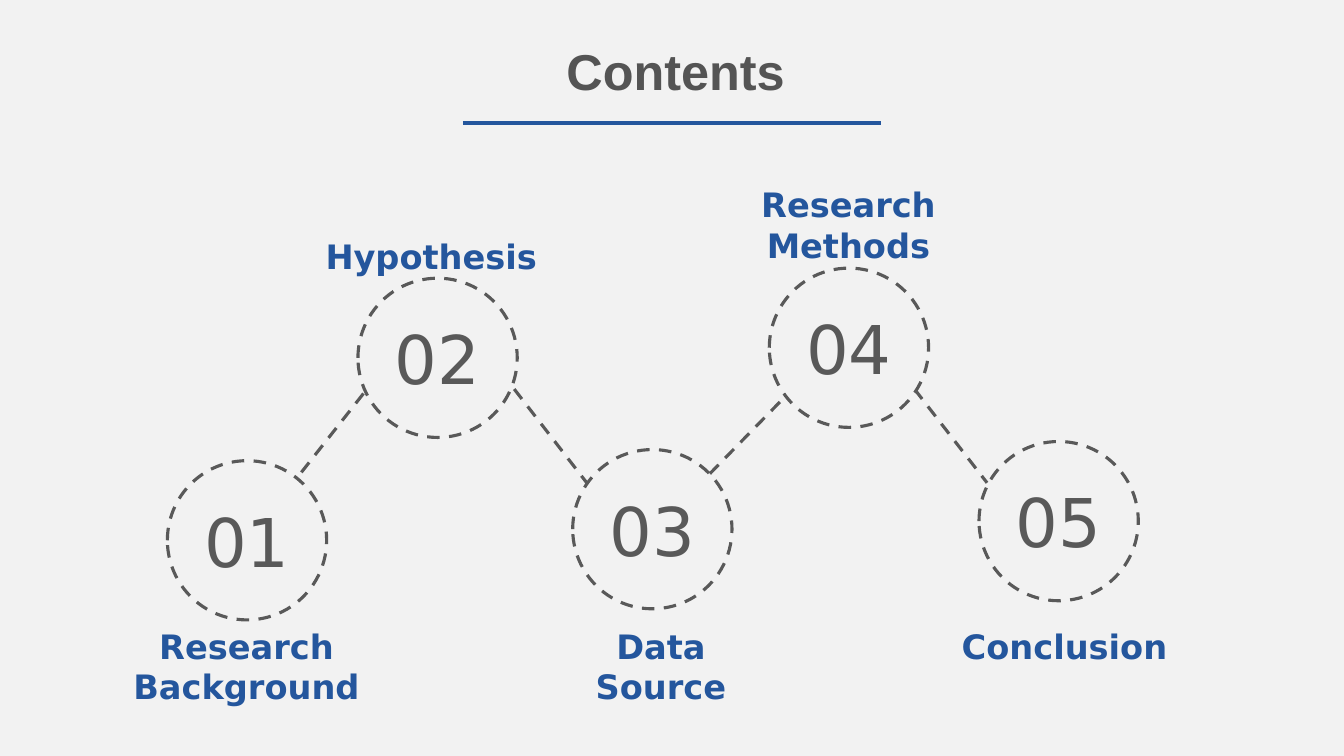
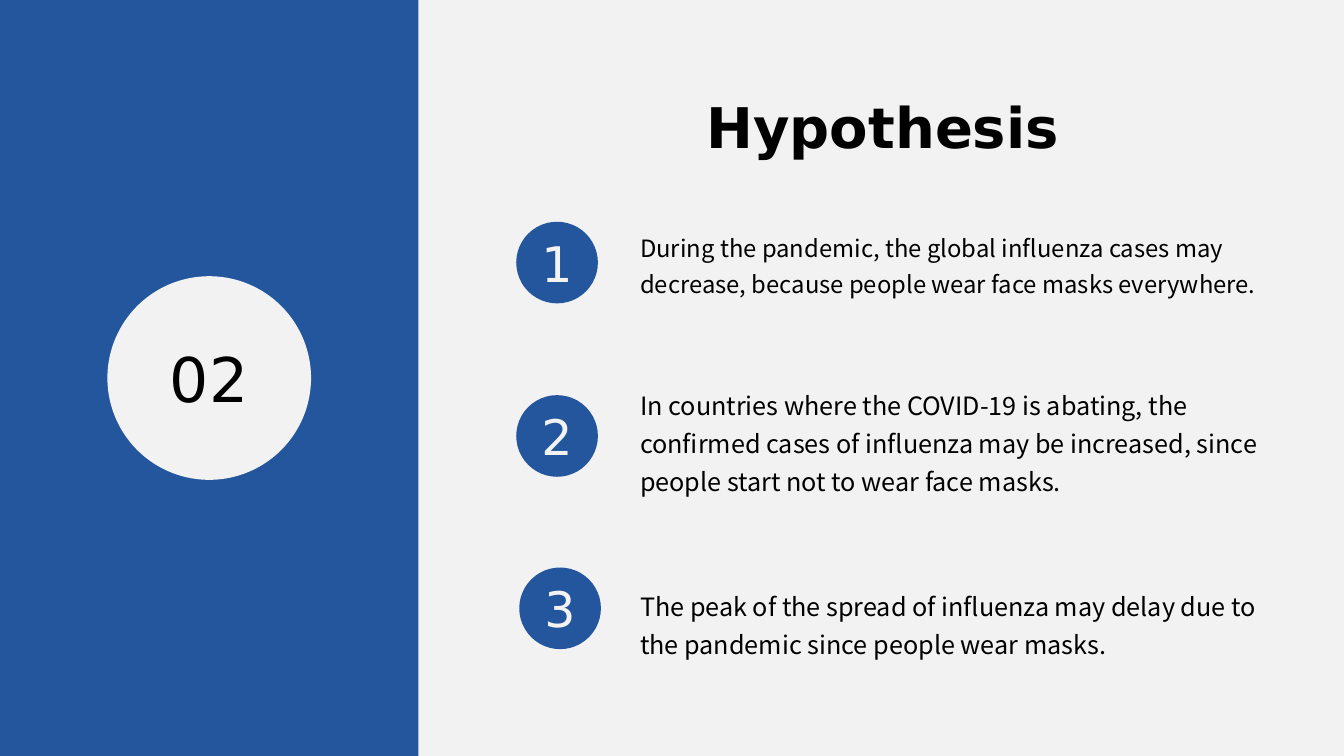
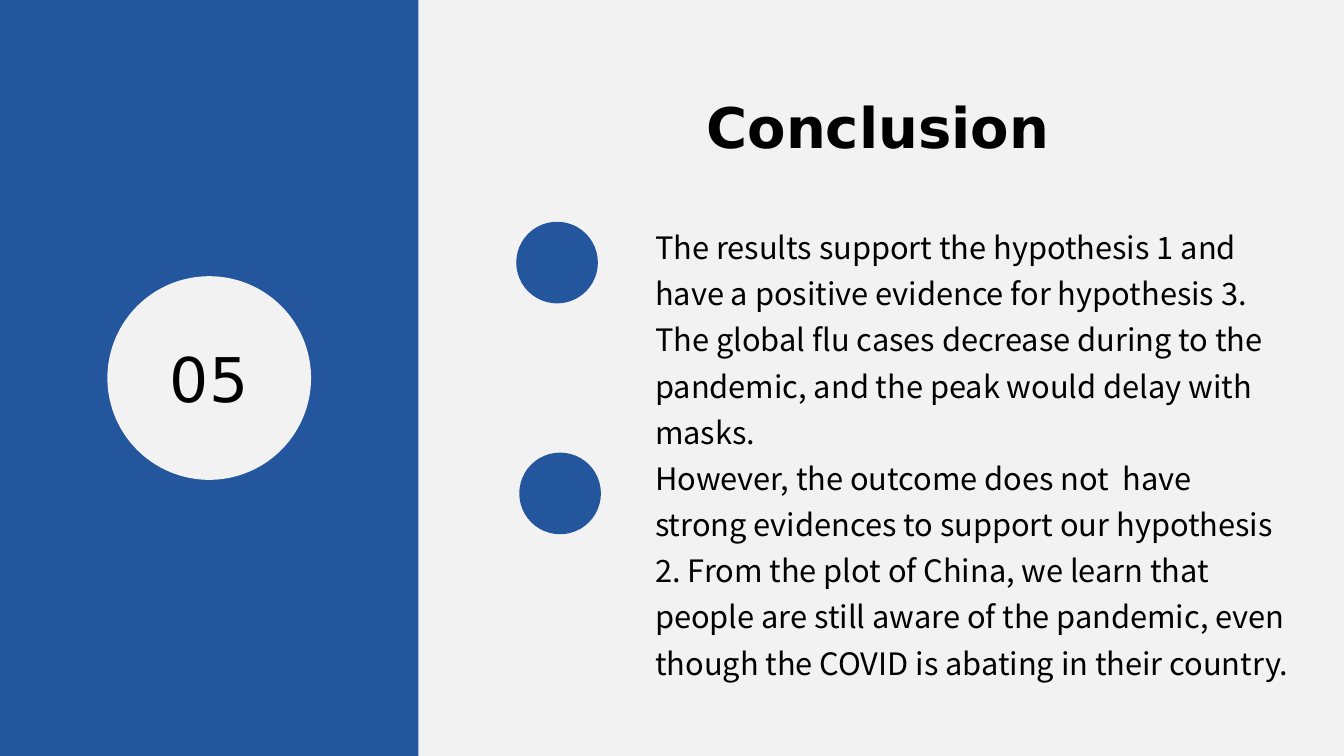
from pptx import Presentation
from pptx.dml.color import RGBColor
from pptx.enum.dml import MSO_LINE
from pptx.enum.shapes import MSO_CONNECTOR, MSO_SHAPE
from pptx.enum.text import MSO_ANCHOR, PP_ALIGN
from pptx.oxml.ns import qn
from pptx.util import Inches, Pt

BLUE, PALE, GREY, BLACK = "24569D", "F2F2F2", "595959", "000000"
TITLE_GREY, BADGE_TEXT = "545454", "F3F3F3"
HEAD_FONT, BODY_FONT, CONTENTS_FONT = "DejaVu Sans", "Noto Sans CJK SC", "Arial"
LEFT, CENTER = PP_ALIGN.LEFT, PP_ALIGN.CENTER
STEP_SIZE, BADGE_SIZE = 1.58, 0.81
PANEL_WIDTH, DISC_SIZE, SLIDE_HEIGHT = 4.15, 2.02, 7.5

# number, circle left and top, label, label left, top and width, alignment
STEPS = [
    ("01", 1.66, 4.57, "Research Background", 0.83, 6.16, 3.23, CENTER),
    ("02", 3.55, 2.76, "Hypothesis", 3.13, 2.29, 2.41, LEFT),
    ("03", 5.68, 4.46, "Data Source", 5.35, 6.16, 2.41, CENTER),
    ("04", 7.63, 2.66, "Research Methods", 7.21, 1.78, 2.41, CENTER),
    ("05", 9.71, 4.38, "Conclusion", 9.44, 6.16, 2.58, LEFT),
]
LINKS = [
    (2.45, 5.37, 3.64, 3.86),
    (5.1, 3.86, 5.82, 4.79),
    (7.04, 4.7, 7.86, 3.86),
    (9.07, 3.86, 9.79, 4.79),
]

# badges: text, left, top; passages: text, left, top, width, height, size
SECTIONS = [
    {
        "number": "02",
        "title": "Hypothesis",
        "badges": [("1", 5.12, 2.2), ("2", 5.12, 3.92), ("3", 5.15, 5.63)],
        "passages": [
            ("During the pandemic, the global influenza cases may decrease, "
             "because people wear face masks everywhere.",
             6.25, 2.2, 6.49, 0.81, 17),
            ("In countries where the COVID-19 is abating, the confirmed cases of "
             "influenza may be increased, since people start not to wear face masks.",
             6.25, 3.75, 6.58, 0.61, 18),
            ("The peak of the spread of influenza may delay due to the pandemic "
             "since people wear masks.",
             6.25, 5.74, 6.49, 0.61, 18),
        ],
    },
    {
        "number": "05",
        "title": "Conclusion",
        "badges": [("", 5.12, 2.2), ("", 5.15, 4.49)],
        "passages": [
            ("The results support the hypothesis 1 and have a positive evidence for "
             "hypothesis 3. The global flu cases decrease during to the pandemic, "
             "and the peak would delay with masks.",
             6.4, 2.13, 6.49, 2.09, 22),
            ("However, the outcome does not  have strong evidences to support our "
             "hypothesis 2. From the plot of China, we learn that people are still "
             "aware of the pandemic, even though the COVID is abating in their country.",
             6.4, 4.42, 6.49, 2.57, 22),
        ],
    },
]


def color(value):
    return RGBColor.from_string(value)


def write(frame, text, size, text_color, font=HEAD_FONT, bold=False, align=LEFT, spacing=None):
    frame.word_wrap = True
    para = frame.paragraphs[0]
    para.alignment = align
    para.line_spacing = spacing
    span = para.add_run()
    span.text = text
    span.font.size = Pt(size)
    span.font.name = font
    span.font.bold = bold
    span.font.color.rgb = color(text_color)
    for tag in ("a:ea", "a:cs"):
        span.font._element.makeelement(qn(tag), {"typeface": font})
        span.font._element.append(span.font._element.makeelement(qn(tag), {"typeface": font}))


def add_text(slide, text, left, top, width, height, size, text_color, **style):
    box = slide.shapes.add_textbox(Inches(left), Inches(top), Inches(width), Inches(height))
    write(box.text_frame, text, size, text_color, **style)


def style_line(line, line_color, width, dashed):
    line.color.rgb = color(line_color)
    line.width = Pt(width)
    if dashed:
        line.dash_style = MSO_LINE.DASH


def add_line(slide, ends, line_color, width, dashed=False):
    line = slide.shapes.add_connector(MSO_CONNECTOR.STRAIGHT, *map(Inches, ends))
    style_line(line.line, line_color, width, dashed)
    properties = line._element.spPr
    properties.append(properties.makeelement(qn("a:effectLst"), {}))


def add_shape(slide, kind, left, top, width, height, fill):
    shape = slide.shapes.add_shape(
        kind, Inches(left), Inches(top), Inches(width), Inches(height))
    shape.shadow.inherit = False
    shape.fill.solid()
    shape.fill.fore_color.rgb = color(fill)
    shape.line.fill.background()
    return shape


def add_disc(slide, left, top, diameter, fill, text="", size=0, text_color=BLACK):
    """Add a circle with an optional number centred in it."""
    disc = add_shape(slide, MSO_SHAPE.OVAL, left, top, diameter, diameter, fill)
    if text:
        frame = disc.text_frame
        frame.margin_left = frame.margin_right = 0
        frame.margin_top = frame.margin_bottom = 0
        frame.vertical_anchor = MSO_ANCHOR.MIDDLE
        write(frame, text, size, text_color, align=CENTER)
    return disc


def add_slide(deck):
    return deck.slides.add_slide(deck.slide_layouts[6])


def build_contents(deck):
    slide = add_slide(deck)
    add_text(slide, "Contents", 5.52, 0.35, 3.23, 0.71, 36, TITLE_GREY,
             font=CONTENTS_FONT, bold=True)
    add_line(slide, (4.59, 1.22, 8.74, 1.22), BLUE, 3.5)
    for ends in LINKS:
        add_line(slide, ends, GREY, 2.25, dashed=True)
    for number, left, top, label, label_left, label_top, label_width, align in STEPS:
        disc = add_disc(slide, left, top, STEP_SIZE, PALE, number, 48, GREY)
        style_line(disc.line, GREY, 2.25, dashed=True)
        add_text(slide, label, label_left, label_top, label_width, 0.5, 24, BLUE,
                 bold=True, align=align)


def build_section(deck, section):
    slide = add_slide(deck)
    add_shape(slide, MSO_SHAPE.RECTANGLE, 0, 0, PANEL_WIDTH, SLIDE_HEIGHT, BLUE)
    add_disc(slide, (PANEL_WIDTH - DISC_SIZE) / 2, (SLIDE_HEIGHT - DISC_SIZE) / 2,
             DISC_SIZE, PALE, section["number"], 44)
    add_text(slide, section["title"], 6.91, 0.87, 4.61, 0.77, 40, BLACK, bold=True)
    for text, left, top in section["badges"]:
        add_disc(slide, left, top, BADGE_SIZE, BLUE, text, 35, BADGE_TEXT)
    for text, left, top, width, height, size in section["passages"]:
        add_text(slide, text, left, top, width, height, size, BLACK,
                 font=BODY_FONT, spacing=1.25)


def main():
    deck = Presentation()
    deck.slide_width, deck.slide_height = Inches(13.33), Inches(SLIDE_HEIGHT)
    background = deck.slide_master.background.fill
    background.solid()
    background.fore_color.rgb = color(PALE)
    build_contents(deck)
    for section in SECTIONS:
        build_section(deck, section)
    deck.save("out.pptx")


if __name__ == "__main__":
    main()
